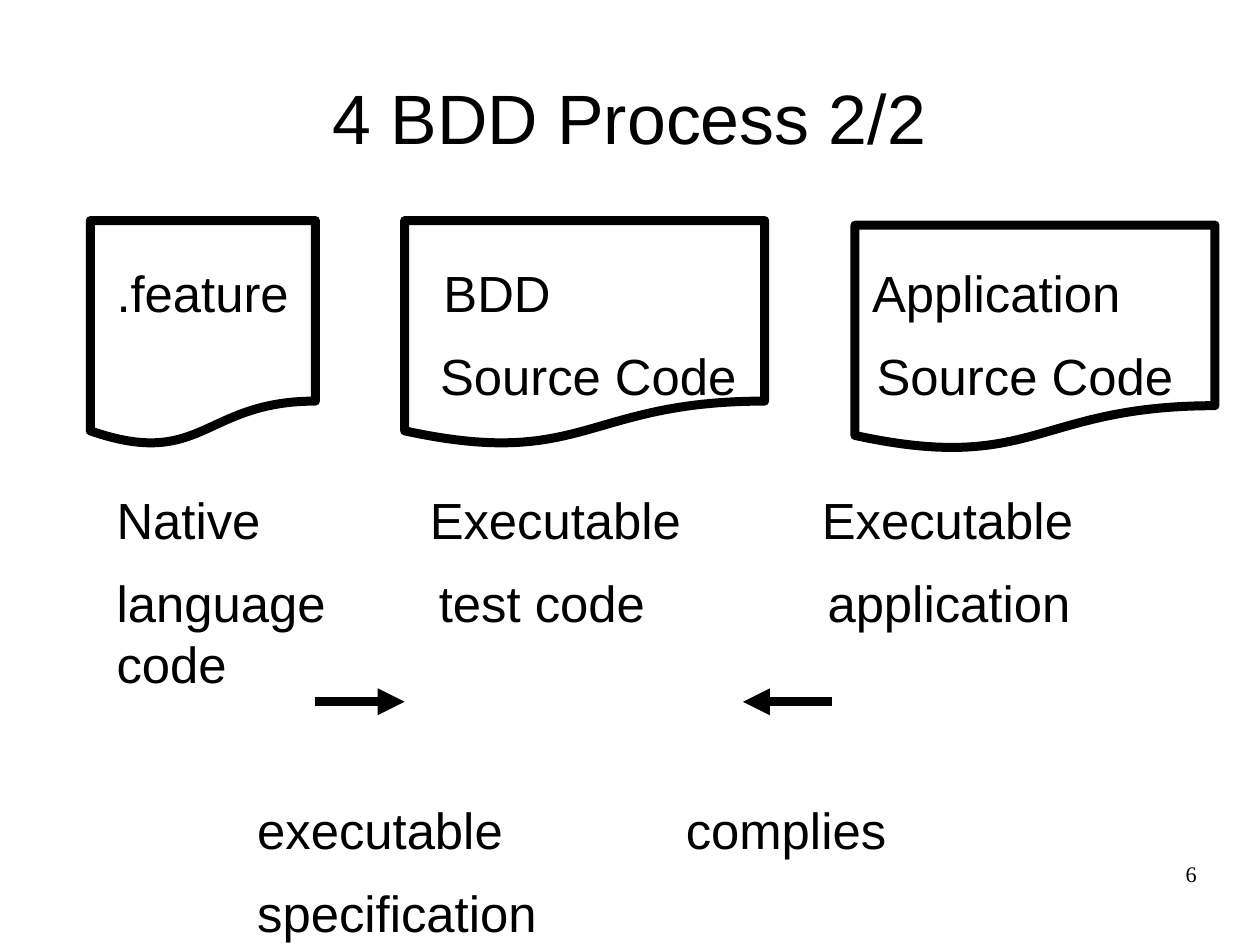
from lxml import etree
from pptx import Presentation
from pptx import util as u
from pptx.dml.color import RGBColor
from pptx.enum import shapes, text
from pptx.oxml.ns import qn

CM_PER_INCH = 2.54
COLOURS = {"ink": "000000", "paper": "FFFFFF"}
FRAME = {"margin_left": 0, "margin_right": 0, "margin_top": 0, "margin_bottom": 0,
         "word_wrap": True}
TITLE = {"name": "Arial", "size": u.Pt(44)}
BODY = {"name": "Arial", "size": u.Pt(32)}
NUMBER = {"name": "Times New Roman", "size": u.Pt(14)}
BODY_SPACING = {"line_spacing": u.Pt(38.2), "space_after": u.Pt(14.2)}
LINE_WIDTH = u.Pt(5.67)

# left, top, width
DOCUMENTS = [(3.54, 1.93, 3.15), (0.79, 1.93, 1.97), (7.48, 1.97, 3.15)]
DOCUMENT_HEIGHT = 1.97

# wording, tab stops in inches, space before in points
BODY_ROWS = [
    (".feature\tBDD\tApplication", (2.86, 6.61), 0),
    ("\tSource Code\tSource Code", (2.83, 6.65), 0),
    ("Native\tExecutable\tExecutable", (2.74, 6.17), 38.2),
    ("language\ttest code\tapplication code", (2.82, 6.22), 0),
    ("\texecutable\tcomplies", (1.23, 4.98), 52.4),
    ("\tspecification", (1.23,), 0),
]
ARROW_Y = 6.14
ARROWS = [(2.76, 3.54), (7.28, 6.5)]


def colour(name):
    return RGBColor.from_string(COLOURS[name])


def apply(target, values):
    for name, value in values.items():
        setattr(target, name, value)


def add_tab_stops(paragraph, stops):
    tab_list = etree.SubElement(paragraph._p.get_or_add_pPr(), qn("a:tabLst"))
    for stop in stops:
        etree.SubElement(tab_list, qn("a:tab"), pos=str(u.Inches(stop)), algn="l")


class SlideBuilder:
    def __init__(self, presentation):
        self.slide = presentation.slides.add_slide(presentation.slide_layouts[5])

    def format_paragraph(self, paragraph, font, spacing):
        apply(paragraph, spacing)
        apply(paragraph.font, font)
        paragraph.font.color.rgb = colour("ink")

    def text_frame(self, box):
        frame = self.slide.shapes.add_textbox(*map(u.Inches, box)).text_frame
        apply(frame, FRAME)
        return frame

    def title(self, wording, box):
        shape = self.slide.shapes.title
        apply(shape, dict(zip(("left", "top", "width", "height"), map(u.Inches, box))))
        frame = shape.text_frame
        apply(frame, FRAME | {"vertical_anchor": text.MSO_ANCHOR.MIDDLE})
        frame.text = wording
        self.format_paragraph(frame.paragraphs[0], TITLE,
                              {"alignment": text.PP_ALIGN.CENTER})

    def document(self, left, top, width):
        shape = self.slide.shapes.add_shape(
            shapes.MSO_SHAPE.FLOWCHART_DOCUMENT,
            *map(u.Inches, (left, top, width, DOCUMENT_HEIGHT)))
        shape.shadow.inherit = False
        shape.fill.solid()
        shape.fill.fore_color.rgb = colour("paper")
        shape.line.color.rgb = colour("ink")
        shape.line.width = LINE_WIDTH

    def body(self, rows, box):
        """Write each row as a paragraph whose columns sit on its own tab stops."""
        frame = self.text_frame(box)
        frame.text = "\n".join(wording for wording, _, _ in rows)
        for paragraph, (_, stops, before) in zip(frame.paragraphs, rows):
            add_tab_stops(paragraph, stops)
            spacing = BODY_SPACING | {"space_before": u.Pt(before)}
            self.format_paragraph(paragraph, BODY, spacing)

    def slide_number(self, wording, box):
        frame = self.text_frame(box)
        frame.text = wording
        self.format_paragraph(frame.paragraphs[0], NUMBER,
                              {"alignment": text.PP_ALIGN.RIGHT})

    def arrow(self, start, end):
        connector = self.slide.shapes.add_connector(
            shapes.MSO_CONNECTOR.STRAIGHT,
            *map(u.Inches, (start, ARROW_Y, end, ARROW_Y)))
        connector.line.color.rgb = colour("ink")
        connector.line.width = LINE_WIDTH
        properties = connector._element.spPr
        etree.SubElement(properties.find(qn("a:ln")), qn("a:tailEnd"), type="triangle")
        etree.SubElement(properties, qn("a:effectLst"))


def main():
    presentation = Presentation()
    presentation.slide_width = u.Inches(28 / CM_PER_INCH)
    presentation.slide_height = u.Inches(21 / CM_PER_INCH)
    builder = SlideBuilder(presentation)
    builder.title("4 BDD Process 2/2", (0.55, 0.33, 9.92, 1.38))
    for document in DOCUMENTS:
        builder.document(*document)
    builder.body(BODY_ROWS, (1.02, 2.29, 9.33, 5.67))
    for start, end in ARROWS:
        builder.arrow(start, end)
    builder.slide_number("6", (7.9, 7.53, 2.57, 0.57))
    presentation.save("out.pptx")


if __name__ == "__main__":
    main()
